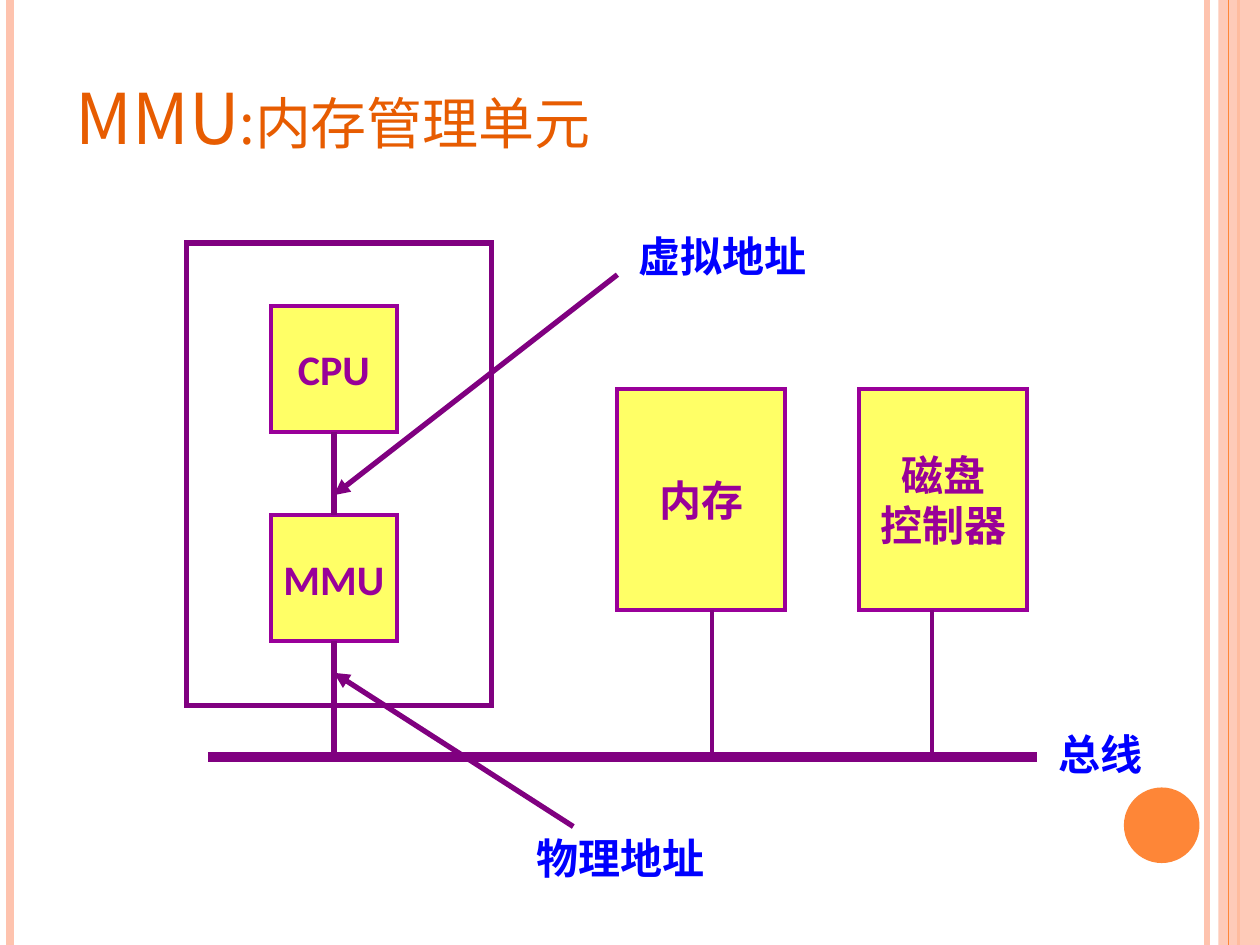
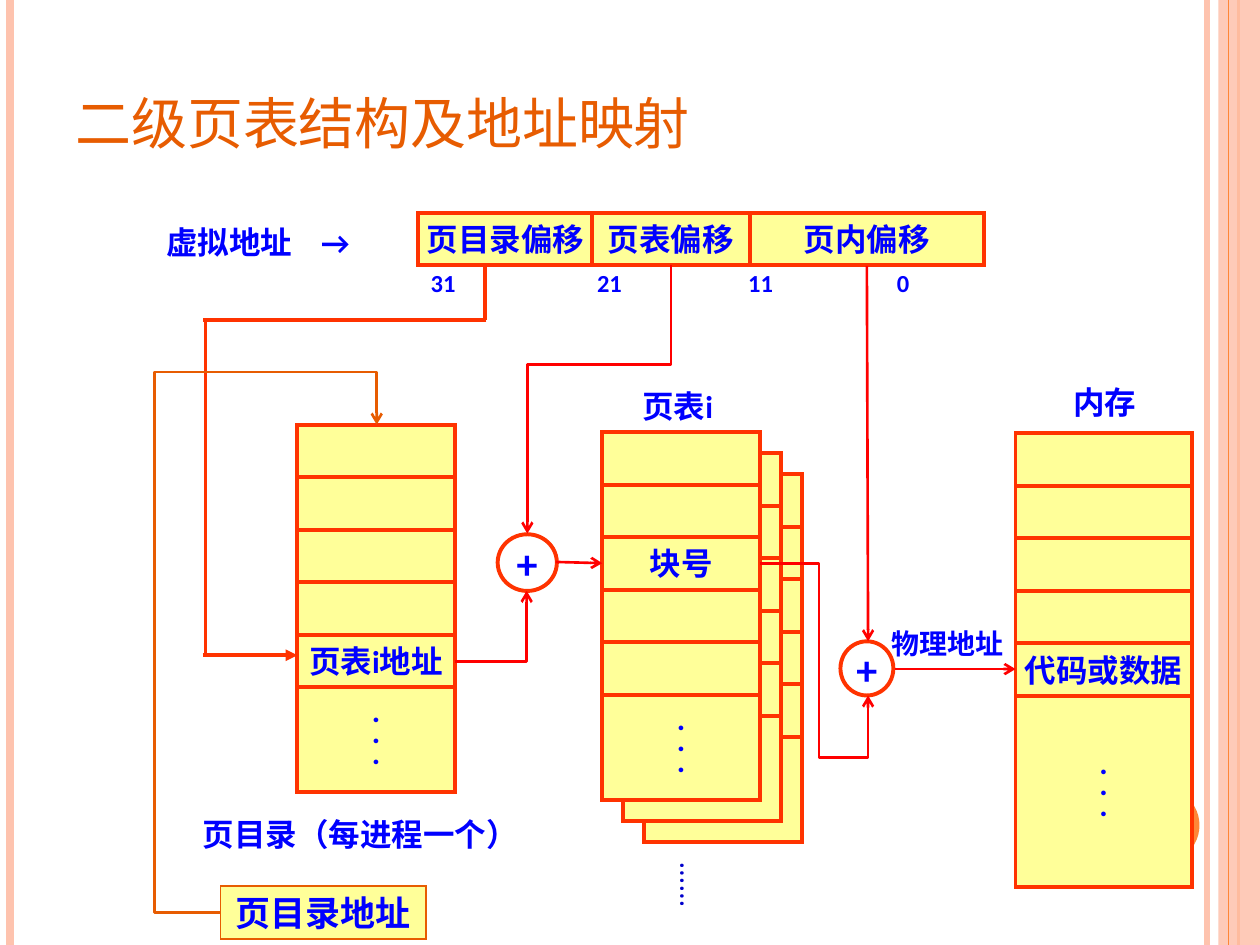
from pptx import Presentation
from pptx.dml.color import RGBColor
from pptx.enum.shapes import MSO_CONNECTOR, MSO_SHAPE
from pptx.enum.text import MSO_ANCHOR, PP_ALIGN
from pptx.oxml.ns import qn
from pptx.util import Inches, Pt
from lxml import etree

RECT, OVAL = MSO_SHAPE.RECTANGLE, MSO_SHAPE.OVAL
STRAIGHT, ELBOW = MSO_CONNECTOR.STRAIGHT, MSO_CONNECTOR.ELBOW
LEFT, CENTER = PP_ALIGN.LEFT, PP_ALIGN.CENTER
TOP, MIDDLE, BOTTOM = MSO_ANCHOR.TOP, MSO_ANCHOR.MIDDLE, MSO_ANCHOR.BOTTOM

PEACH = RGBColor(0xFE, 0xC3, 0xAE)
ORANGE = RGBColor(0xFE, 0x86, 0x37)
RUST = RGBColor(0xE7, 0x5C, 0x01)
YELLOW = RGBColor(0xFF, 0xFF, 0x66)
PALE_YELLOW = RGBColor(0xFF, 0xFF, 0x99)
MAGENTA = RGBColor(0x99, 0x00, 0x99)
PURPLE = RGBColor(0x80, 0x00, 0x80)
SCARLET = RGBColor(0xFF, 0x33, 0x00)
RED = RGBColor(0xFF, 0x00, 0x00)
BLUE = RGBColor(0x00, 0x00, 0xFF)
DARK_BLUE = RGBColor(0x00, 0x00, 0xCC)

CJK_FONT = "Noto Sans CJK SC"
ROW = 5 / 12          # height of one table row
STACK_STEP = 1 / 6    # shift between stacked page tables
DOTS = ".\n.\n."


def child(parent, tag, **attrs):
    return etree.SubElement(parent, qn(tag), attrs)


def set_alpha(fill_parent, percent):
    color = next(fill_parent.iter(qn("a:srgbClr")))
    child(color, "a:alpha", val=str(percent * 1000))


def write(shape, text, size=18, color=BLUE, bold=True, font="Calibri",
          align=LEFT, anchor=TOP, wrap=False, spacing=None, small_caps=False):
    tf = shape.text_frame
    tf.word_wrap = wrap
    tf.vertical_anchor = anchor
    for i, line in enumerate(text.split("\n")):
        p = tf.add_paragraph() if i else tf.paragraphs[0]
        p.alignment = align
        if spacing:
            p.line_spacing = Pt(spacing)
        r = p.add_run()
        r.text = line
        r.font.size = Pt(size)
        r.font.bold = bold
        r.font.name = font
        r.font.color.rgb = color
        rpr = r.font._element
        child(rpr, "a:ea", typeface=CJK_FONT)
        if small_caps:
            rpr.set("cap", "small")


def box(s, left, top, width, height, fill=None, line=None, weight=2.25,
        kind=RECT, text="", **fmt):
    sp = s.shapes.add_shape(kind, Inches(left), Inches(top),
                            Inches(width), Inches(height))
    sp.shadow.inherit = False
    if fill is None:
        sp.fill.background()
    else:
        sp.fill.solid()
        sp.fill.fore_color.rgb = fill
    if line is None:
        sp.line.fill.background()
    else:
        sp.line.color.rgb = line
        sp.line.width = Pt(weight)
        child(sp.line._get_or_add_ln(), "a:miter", lim="800000")
    if text:
        write(sp, text, align=CENTER, anchor=MIDDLE, **fmt)
    return sp


def label(s, left, top, width, height, text, **fmt):
    tb = s.shapes.add_textbox(Inches(left), Inches(top),
                              Inches(width), Inches(height))
    write(tb, text, **fmt)
    return tb


def connect(s, start, end, color, weight, head=None, kind=STRAIGHT):
    """Line from start to end; head names the arrowhead at the end."""
    c = s.shapes.add_connector(kind, *(Inches(v) for v in (*start, *end)))
    c.line.color.rgb = color
    c.line.width = Pt(weight)
    if head:
        child(c.line._get_or_add_ln(), "a:tailEnd", type=head)
    child(c._element.spPr, "a:effectLst")
    return c


def elbow(s, start, end, color, preset, adjust=(), rotation=0):
    """Bent arrow; start and end are the corners before rotation."""
    c = connect(s, start, end, color, 1.5, "arrow", ELBOW)
    sp_pr = c._element.spPr
    geom = sp_pr.find(qn("a:prstGeom"))
    geom.set("prst", preset)
    guides = geom.find(qn("a:avLst"))
    if guides is None:
        guides = child(geom, "a:avLst")
    for i, share in enumerate(adjust, 1):
        child(guides, "a:gd", name=f"adj{i}",
              fmla=f"val {round(share * 100000)}")
    if rotation:
        sp_pr.find(qn("a:xfrm")).set("rot", str(rotation * 60000))


def new_slide(prs, title):
    s = prs.slides.add_slide(prs.slide_layouts[5])
    for x, color, weight in ((9.58, PEACH, 3), (0.08, PEACH, 4.5),
                             (9.83, ORANGE, 1.5)):
        connect(s, (x, 0), (x, 7.5), color, weight)
    band = box(s, 9.67, 0, 0.33, 7.5, PEACH)
    set_alpha(band._element.spPr, 87)
    connect(s, (9.75, 0), (9.75, 7.5), ORANGE, 0.75)
    box(s, 8.92, 6.25, 0.6, 0.6, ORANGE, kind=OVAL)
    ph = s.shapes.title
    ph.left, ph.top = Inches(0.5), Inches(0.3)
    ph.width, ph.height = Inches(8.17), Inches(1.01)
    write(ph, title, size=40, color=RUST, bold=False, font=CJK_FONT,
          anchor=BOTTOM, wrap=True, small_caps=True)
    return s


def cell(s, left, top, width, height=ROW, text="", **fmt):
    box(s, left, top, width, height, PALE_YELLOW, SCARLET, text=text, **fmt)


def table_column(s, left, top, width, tail, named_row, name):
    """Five rows, one of them named, above a taller cell with dots."""
    for row in range(5):
        cell(s, left, top + row * ROW, width,
             text=name if row == named_row else "")
    cell(s, left, top + 5 * ROW, width, tail, DOTS, spacing=12)


def adder(s, left, top, width, height):
    box(s, left, top, width, height, line=SCARLET, kind=OVAL,
        text="+", size=24)


def build_mmu(prs):
    s = new_slide(prs, "MMU:内存管理单元")
    for left, top, width, height, text in (
            (2.15, 2.43, 1, 1, "CPU"),
            (2.15, 4.09, 1, 1, "MMU"),
            (4.9, 3.09, 1.33, 1.75, "内存"),
            (6.82, 3.09, 1.33, 1.75, "磁盘\n控制器")):
        box(s, left, top, width, height, YELLOW, MAGENTA,
            text=text, size=24, color=MAGENTA)
    bus = 6.01
    for x, top, bottom, weight in ((2.65, 3.43, 4.09, 3), (2.65, 5.09, bus, 3),
                                   (5.65, 4.84, bus, 2.25),
                                   (7.4, 4.84, bus, 2.25)):
        connect(s, (x, top), (x, bottom), PURPLE, weight)
    connect(s, (1.65, bus), (8.23, bus), PURPLE, 6)
    box(s, 1.48, 1.93, 2.42, 3.67, line=PURPLE, weight=3)
    for start, end in (((4.9, 2.18), (2.65, 3.93)),
                       ((4.55, 6.56), (2.65, 5.34))):
        connect(s, start, end, PURPLE, 3, "triangle")
    for left, top, width, text in ((8.3, 5.73, 0.88, "总线"),
                                   (4.97, 1.78, 1.59, "虚拟地址"),
                                   (4.16, 6.56, 1.56, "物理地址")):
        label(s, left, top, width, 0.5, text, size=24)


def build_page_tables(prs):
    s = new_slide(prs, "二级页表结构及地址映射")

    # Virtual address and its bit numbers
    label(s, 1.22, 1.72, 1.2, 0.4, "虚拟地址")
    label(s, 2.45, 1.72, 0.5, 0.4, "→")
    left = 3.32
    for width, text in ((1.38, "页目录偏移"), (1.25, "页表偏移"),
                        (1.86, "页内偏移")):
        cell(s, left, 1.69, width, text=text)
        left += width
    for left, width, bit in ((3.32, 0.4, "31"), (4.64, 0.4, "21"),
                             (5.84, 0.4, "11"), (7.02, 0.3, "0")):
        label(s, left, 2.08, width, 0.34, bit, size=14)

    # Directory, memory and the stack of page tables, rearmost first
    box(s, 1.75, 7.03, 1.63, 0.42, PALE_YELLOW, RUST, 1,
        text="页目录地址", size=20)
    table_column(s, 2.36, 3.37, 1.25, 2 * ROW, 4, "页表i地址")
    table_column(s, 8.06, 3.44, 1.4, 1.52, 4, "代码或数据")
    for depth in (2, 1, 0):
        shift = depth * STACK_STEP
        table_column(s, 4.78 + shift, 3.43 + shift, 1.25, 2 * ROW, 2, "块号")
    adder(s, 3.95, 4.24, 0.47, 0.45)
    adder(s, 6.67, 5.09, 0.42, 0.43)

    # Directory offset to directory entry
    connect(s, (3.85, 2.12), (3.85, 2.54), SCARLET, 2.25)
    connect(s, (3.86, 2.54), (1.61, 2.54), SCARLET, 2.25)
    connect(s, (1.63, 2.54), (1.63, 5.2), SCARLET, 1.5)
    connect(s, (1.61, 5.2), (2.36, 5.2), SCARLET, 2.25, "triangle")

    # Paths through the adders
    elbow(s, (3.69, 2.6), (5.82, 3.74), RED, "bentConnector3", [0.369], 90)
    elbow(s, (3.61, 5.25), (4.18, 4.69), RED, "bentConnector2")
    elbow(s, (6.03, 4.47), (6.89, 5.52), RED, "bentConnector4",
          [0.547, 1.468])
    elbow(s, (2.99, 3.37), (1.75, 7.24), RUST, "bentConnector4",
          [-0.424, 1.108], 180)
    for start, end in (((6.88, 2.11), (6.89, 5.09)),
                       ((7.1, 5.31), (8.06, 5.31)),
                       ((4.41, 4.46), (4.78, 4.47))):
        connect(s, start, end, RED, 1.5, "arrow")

    label(s, 6.98, 4.92, 1.16, 0.37, "物理地址", size=16)
    label(s, 8.17, 2.99, 1.2, 0.4, "内存", align=CENTER, wrap=True)
    label(s, 5, 3.02, 0.81, 0.4, "页表i", wrap=True)
    label(s, 1.51, 6.42, 2.8, 0.4, "页目录（每进程一个）", wrap=True)
    more = label(s, 5.2, 6.73, 0.5, 0.47, "……", color=DARK_BLUE,
                 bold=False, font="Cambria")
    more.text_frame._txBody.bodyPr.set("vert", "eaVert")


def main():
    prs = Presentation()
    prs.slide_width, prs.slide_height = Inches(10), Inches(7.5)
    build_mmu(prs)
    build_page_tables(prs)
    prs.save("out.pptx")


if __name__ == "__main__":
    main()
